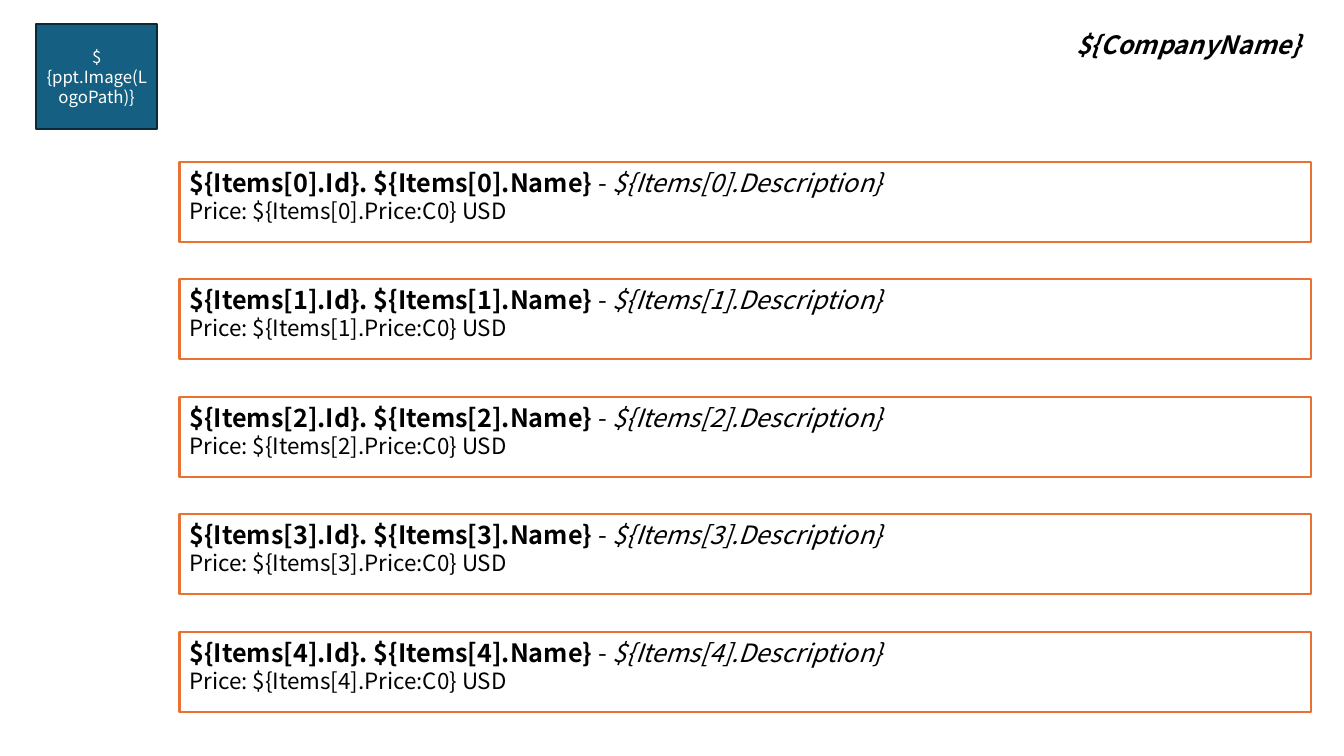
import dataclasses
import typing

import pptx
import pptx.dml.color
import pptx.enum.shapes
import pptx.enum.text
import pptx.util

RGB = pptx.dml.color.RGBColor
ALIGN = pptx.enum.text.PP_ALIGN
ANCHOR = pptx.enum.text.MSO_ANCHOR

BLACK = RGB(0x00, 0x00, 0x00)
WHITE = RGB(0xFF, 0xFF, 0xFF)
ORANGE = RGB(0xE9, 0x71, 0x32)
TEAL = RGB(0x15, 0x60, 0x82)
NAVY = RGB(0x09, 0x2A, 0x39)

FONT = "Noto Sans CJK KR"
PX = 9144  # EMU, 100 px to the inch
ITEMS = 5
TOP, BOTTOM = 161, 627  # tops of the first and last item

Format = dict[str, typing.Any]
Run = tuple[str, Format]


@dataclasses.dataclass(frozen=True)
class Box:
    left: int
    top: int
    width: int
    height: int
    lines: list[list[Run]]
    fill: RGB | None = None
    edge: RGB | None = None
    color: RGB = BLACK
    align: ALIGN = ALIGN.LEFT
    anchor: ANCHOR = ANCHOR.TOP


def write(frame: typing.Any, box: Box) -> None:
    frame.word_wrap = True
    frame.vertical_anchor = box.anchor
    for i, line in enumerate(box.lines):
        para = frame.paragraphs[0] if i == 0 else frame.add_paragraph()
        para.alignment = box.align
        for text, style in line:
            run = para.add_run()
            run.text = text
            run.font.color.rgb = box.color
            for key, value in {"name": FONT, **style}.items():
                setattr(run.font, key, value)


def draw(shapes: typing.Any, box: Box) -> None:
    """Draw a filled rectangle, or a text box when there is no fill."""
    area = [n * PX for n in (box.left, box.top, box.width, box.height)]
    if box.fill is None:
        shape = shapes.add_textbox(*area)
    else:
        kind = pptx.enum.shapes.MSO_SHAPE.RECTANGLE
        shape = shapes.add_shape(kind, *area)
        shape.shadow.inherit = False
        shape.fill.solid()
        shape.fill.fore_color.rgb = box.fill
        shape.line.color.rgb = box.edge
        shape.line.width = pptx.util.Pt(1.5)
    write(shape.text_frame, box)


def item(i: int) -> Box:
    large, small = pptx.util.Pt(18), pptx.util.Pt(16)
    name = f"Items[{i}]"
    head = [
        (f"${{{name}.Id}}. ${{{name}.Name}} ", {"size": large, "bold": True}),
        ("- ", {"size": large}),
        (f"${{{name}.Description}}", {"size": large, "italic": True}),
    ]
    price = [(f"Price: ${{{name}.Price:C0}} USD", {"size": small})]
    top = TOP + (BOTTOM - TOP) * i // (ITEMS - 1)
    return Box(178, top, 1122, 79, [head, price], WHITE, ORANGE)


def main() -> None:
    deck = pptx.Presentation()
    deck.slide_width, deck.slide_height = 1333 * PX, 750 * PX
    slide = deck.slides.add_slide(deck.slide_layouts[6])

    title = {"size": pptx.util.Pt(18), "bold": True, "italic": True}
    firm = Box(884, 24, 416, 40, [[("${CompanyName}", title)]],
               align=ALIGN.RIGHT)
    label = ("${ppt.Image(LogoPath)}", {"size": pptx.util.Pt(12)})
    logo = Box(36, 24, 120, 104, [[label]], TEAL, NAVY, WHITE,
               ALIGN.CENTER, ANCHOR.MIDDLE)

    for box in [firm, logo, *map(item, range(ITEMS))]:
        draw(slide.shapes, box)
    deck.save("out.pptx")


if __name__ == "__main__":
    main()
